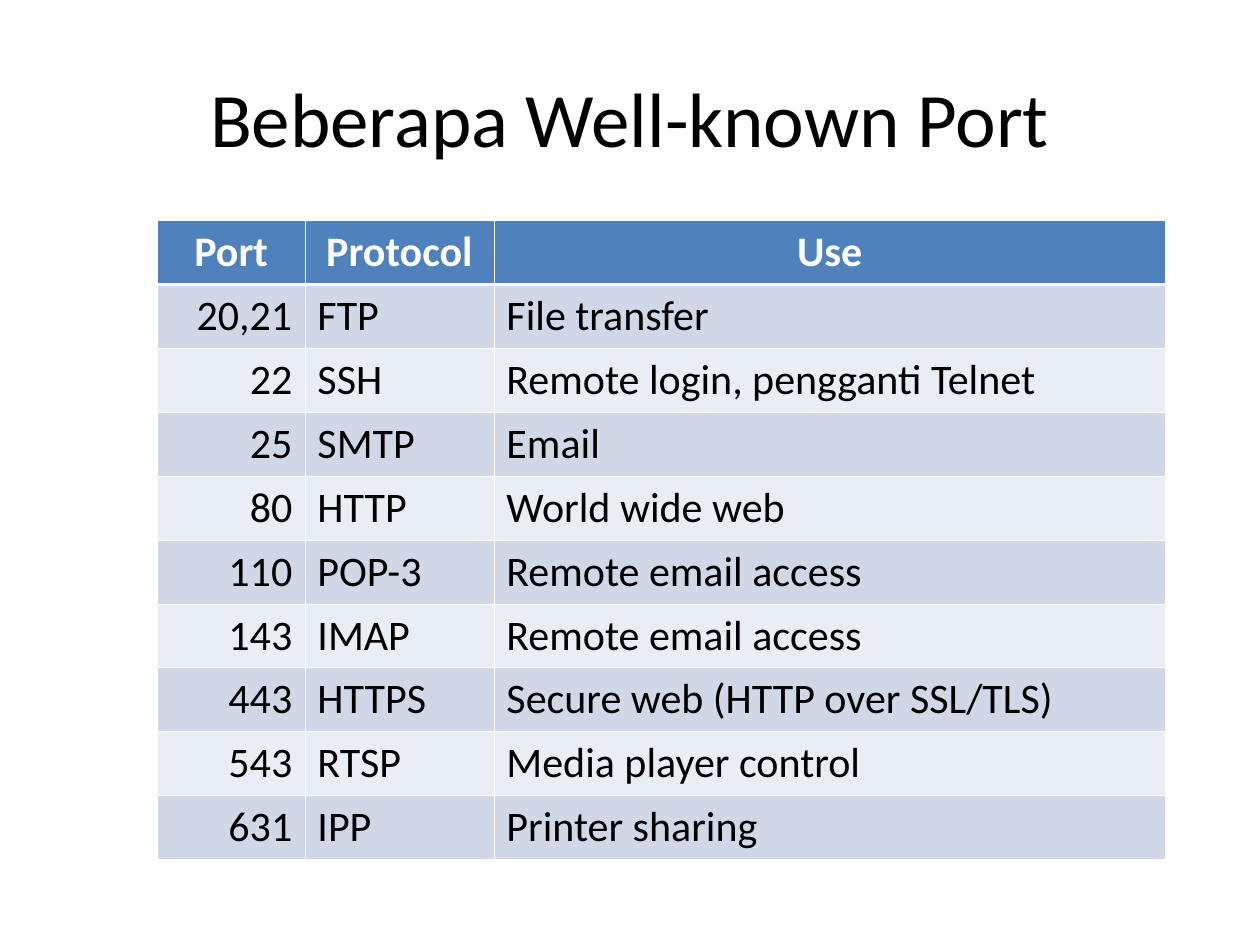
from dataclasses import dataclass

from lxml import etree
from pptx import Presentation
from pptx.dml.color import RGBColor
from pptx.enum.text import MSO_ANCHOR, PP_ALIGN
from pptx.oxml.ns import qn
from pptx.util import Inches, Pt

LEFT, CENTER, RIGHT = PP_ALIGN.LEFT, PP_ALIGN.CENTER, PP_ALIGN.RIGHT
MIDDLE = MSO_ANCHOR.MIDDLE
TITLE_ONLY = 5


@dataclass(frozen=True)
class Theme:
    font: str = "Calibri"
    title: int = 44
    body: int = 24
    ink: str = "000000"
    paper: str = "FFFFFF"
    head: str = "4F81BD"
    bands: tuple = ("D0D8E8", "E9EDF4")
    thin: float = 0.45
    thick: float = 1.47


HEADS = ("Port", "Protocol", "Use")
PORTS = (
    ("20,21", "FTP", "File transfer"),
    ("22", "SSH", "Remote login, pengganti Telnet"),
    ("25", "SMTP", "Email"),
    ("80", "HTTP", "World wide web"),
    ("110", "POP-3", "Remote email access"),
    ("143", "IMAP", "Remote email access"),
    ("443", "HTTPS", "Secure web (HTTP over SSL/TLS)"),
    ("543", "RTSP", "Media player control"),
    ("631", "IPP", "Printer sharing"),
)
WIDTHS = (1.17, 1.5, 5.33)
ALIGNS = (RIGHT, LEFT, LEFT)
ROW = 0.5


class Deck:
    """Holds the theme and the current slide."""

    def __init__(self, theme, slide):
        self.theme = theme
        self.slide = slide

    def label(self, frame, text, size, color, align, bold=False):
        para = frame.paragraphs[0]
        para.alignment = align
        run = para.add_run()
        run.text = text
        font = run.font
        font.name, font.size, font.bold = self.theme.font, Pt(size), bold
        font.color.rgb = RGBColor.from_string(color)

    def title(self, text, left, top, width, height):
        box = self.slide.shapes.title
        box.left, box.top = Inches(left), Inches(top)
        box.width, box.height = Inches(width), Inches(height)
        box.text_frame.vertical_anchor = MIDDLE
        self.label(box.text_frame, text, self.theme.title, self.theme.ink, CENTER)

    def border(self, cell, top, bottom):
        props = cell._tc.get_or_add_tcPr()
        thin = self.theme.thin
        sides = (("lnL", thin), ("lnR", thin), ("lnT", top), ("lnB", bottom))
        # Border lines come before the fill in the cell properties
        for spot, (tag, width) in enumerate(sides):
            line = etree.Element(qn(f"a:{tag}"), w=str(Pt(width)))
            fill = etree.SubElement(line, qn("a:solidFill"))
            etree.SubElement(fill, qn("a:srgbClr"), val=self.theme.paper)
            props.insert(spot, line)

    def cell(self, cell, text, fill, color, align, bold):
        cell.fill.solid()
        cell.fill.fore_color.rgb = RGBColor.from_string(fill)
        self.label(cell.text_frame, text, self.theme.body, color, align, bold)

    def table(self, heads, rows, left, top, widths, height):
        theme = self.theme
        data = (heads, *rows)
        grid = self.slide.shapes.add_table(
            len(data), len(heads), Inches(left), Inches(top),
            Inches(sum(widths)), Inches(height * len(data))).table
        for col, width in zip(grid.columns, widths):
            col.width = Inches(width)
        for r, texts in enumerate(data):
            is_head = r == 0
            fill = theme.head if is_head else theme.bands[(r - 1) % 2]
            color = theme.paper if is_head else theme.ink
            # A thick rule parts the header from the body
            upper = theme.thick if r == 1 else theme.thin
            lower = theme.thick if is_head else theme.thin
            for c, text in enumerate(texts):
                cell = grid.cell(r, c)
                align = CENTER if is_head else ALIGNS[c]
                self.cell(cell, text, fill, color, align, is_head)
                self.border(cell, upper, lower)


def main():
    prs = Presentation()
    prs.slide_width, prs.slide_height = Inches(10), Inches(7.5)
    slide = prs.slides.add_slide(prs.slide_layouts[TITLE_ONLY])
    deck = Deck(Theme(), slide)

    # Heading
    deck.title("Beberapa Well-known Port", 0.5, 0.3, 9, 1.25)

    # Port table
    deck.table(HEADS, PORTS, 1.25, 1.75, WIDTHS, ROW)

    prs.save("out.pptx")


if __name__ == "__main__":
    main()
